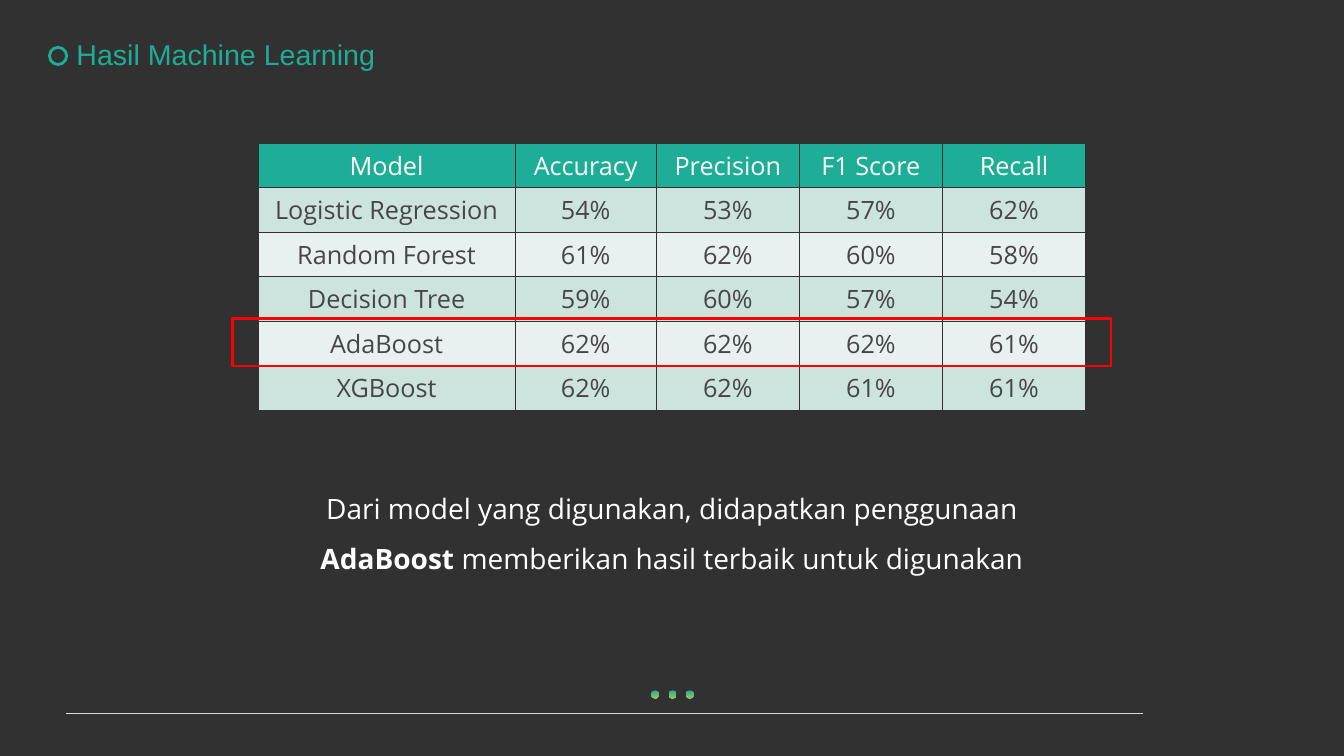
import dataclasses
import pptx
import pptx.dml.color
import pptx.enum.dml
import pptx.enum.shapes
import pptx.enum.text
import pptx.oxml.ns
import pptx.util
import lxml.etree

ALIGN = pptx.enum.text.PP_ALIGN
ANCHOR = pptx.enum.text.MSO_ANCHOR
SHAPE = pptx.enum.shapes.MSO_SHAPE


@dataclasses.dataclass(frozen=True)
class Theme:
    background: str = "313131"
    teal: str = "1EAD96"
    green: str = "A3BE63"
    white: str = "FFFFFF"
    rule: str = "D9D9D9"
    highlight: str = "FF0000"
    cell_text: str = "464646"
    bands: tuple = ("CDE3DD", "E8F1EF")
    title_font: str = "Arial"
    body_font: str = "Open Sans"
    title_size: float = 20.4
    body_size: float = 20
    table_size: float = 18


def rgb(colour):
    return pptx.dml.color.RGBColor.from_string(colour)


def apply(target, values):
    for name, value in values.items():
        setattr(target, name, value)


class Deck:
    """Holds the theme and current slide; lengths are percent of slide size."""

    def __init__(self, theme):
        self.theme = theme
        self.presentation = pptx.Presentation()
        apply(self.presentation, {"slide_width": pptx.util.Inches(13.33),
                                  "slide_height": pptx.util.Inches(7.5)})
        self.slide = self.presentation.slides.add_slide(
            self.presentation.slide_layouts[6])
        self.slide.background.fill.solid()
        self.slide.background.fill.fore_color.rgb = rgb(theme.background)

    def across(self, share):
        return round(self.presentation.slide_width * share / 100)

    def down(self, share):
        return round(self.presentation.slide_height * share / 100)

    def box(self, left, top, width, height):
        return (self.across(left), self.down(top),
                self.across(width), self.down(height))

    def add_runs(self, paragraph, runs, font, size, colour, **layout):
        apply(paragraph, layout)
        for text, bold in runs:
            run = paragraph.add_run()
            run.text = text
            apply(run.font, {"name": font, "size": pptx.util.Pt(size), "bold": bold})
            run.font.color.rgb = rgb(colour)

    def text(self, place, runs, font, size, colour, anchor, **layout):
        frame = self.slide.shapes.add_textbox(*self.box(*place)).text_frame
        apply(frame, {"word_wrap": True, "vertical_anchor": anchor})
        self.add_runs(frame.paragraphs[0], runs, font, size, colour, **layout)

    def outline(self, kind, place, colour, width):
        shape = self.slide.shapes.add_shape(kind, *self.box(*place))
        shape.shadow.inherit = False
        shape.fill.background()
        shape.line.color.rgb = rgb(colour)
        shape.line.width = pptx.util.Pt(width)

    def dots(self, places, colours):
        group = self.slide.shapes.add_group_shape()
        for place in places:
            dot = group.shapes.add_shape(SHAPE.OVAL, *self.box(*place))
            dot.shadow.inherit = False
            dot.line.fill.background()
            dot.fill.gradient()
            dot.fill.gradient_angle = 270
            for stop, colour in zip(dot.fill.gradient_stops, colours):
                stop.color.rgb = rgb(colour)

    def rule(self, left, right, top, colour, width):
        line = self.slide.shapes.add_connector(
            pptx.enum.shapes.MSO_CONNECTOR.STRAIGHT, self.across(left),
            self.down(top), self.across(right), self.down(top))
        line.line.color.rgb = rgb(colour)
        line.line.width = pptx.util.Pt(width)
        properties = line.element.find(pptx.oxml.ns.qn("p:spPr"))
        lxml.etree.SubElement(properties, pptx.oxml.ns.qn("a:effectLst"))

    def border(self, cell, colour, width):
        qn = pptx.oxml.ns.qn
        properties = cell._tc.get_or_add_tcPr()
        for side in ("lnL", "lnR", "lnT", "lnB"):
            line = lxml.etree.SubElement(properties, qn("a:" + side),
                                         w=str(int(pptx.util.Pt(width))))
            fill = lxml.etree.SubElement(line, qn("a:solidFill"))
            lxml.etree.SubElement(fill, qn("a:srgbClr"), val=colour)

    def table(self, left, top, widths, row_height, rows):
        theme = self.theme
        place = self.box(left, top, sum(widths), row_height * len(rows))
        table = self.slide.shapes.add_table(len(rows), len(widths), *place).table
        for column, width in zip(table.columns, widths):
            column.width = self.across(width)
        for index, values in enumerate(rows):
            table.rows[index].height = self.down(row_height)
            fill = theme.bands[(index - 1) % 2] if index else theme.teal
            colour = theme.cell_text if index else theme.white
            for cell, value in zip(table.rows[index].cells, values):
                self.border(cell, theme.background, 1)
                cell.fill.solid()
                cell.fill.fore_color.rgb = rgb(fill)
                cell.vertical_anchor = ANCHOR.MIDDLE
                self.add_runs(cell.text_frame.paragraphs[0], [(value, False)],
                              theme.body_font, theme.table_size, colour,
                              alignment=ALIGN.CENTER)


theme = Theme()
deck = Deck(theme)

# Footer rule and three dots
deck.rule(4.95, 85.07, 94.4, theme.rule, 1)
deck.dots([(48.46 + 1.28 * step, 91.33, 0.6, 1.07) for step in range(3)],
          (theme.teal, theme.green))

# Title with ring marker
deck.outline(SHAPE.OVAL, (3.68, 6.27, 1.28, 2.27), theme.teal, 2)
deck.text((4.95, 4.67, 24.6, 5.6), [("Hasil Machine Learning", False)],
          theme.title_font, theme.title_size, theme.teal, ANCHOR.MIDDLE,
          line_spacing=0.9)

# Model scores
scores = {
    "Logistic Regression": (54, 53, 57, 62),
    "Random Forest": (61, 62, 60, 58),
    "Decision Tree": (59, 60, 57, 54),
    "AdaBoost": (62, 62, 62, 61),
    "XGBoost": (62, 62, 61, 61),
}
header = ("Model", "Accuracy", "Precision", "F1 Score", "Recall")
score_rows = [(model, *(f"{value}%" for value in values))
              for model, values in scores.items()]
deck.table(19.2, 18.93, (19.13, 10.5, 10.65, 10.65, 10.65), 5.89,
           [header, *score_rows])

# Frame around the best model
deck.outline(SHAPE.RECTANGLE, (17.3, 42.13, 65.4, 6.27), theme.highlight, 1.5)

# Conclusion
deck.text((19.2, 62.13, 61.6, 14.13),
          [("Dari model yang digunakan, didapatkan penggunaan ", False),
           ("AdaBoost ", True),
           ("memberikan hasil terbaik untuk digunakan", False)],
          theme.body_font, theme.body_size, theme.white, ANCHOR.TOP,
          alignment=ALIGN.CENTER, line_spacing=1.5)

deck.presentation.save("out.pptx")
